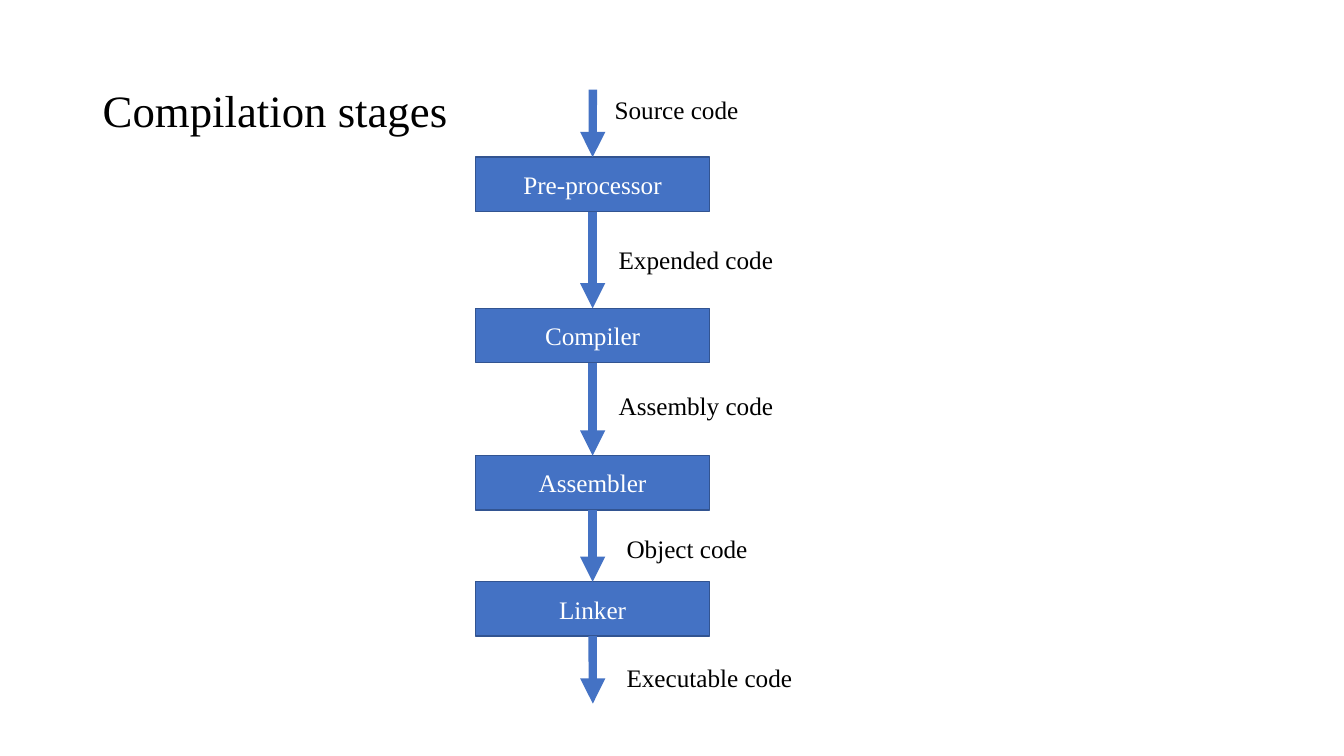
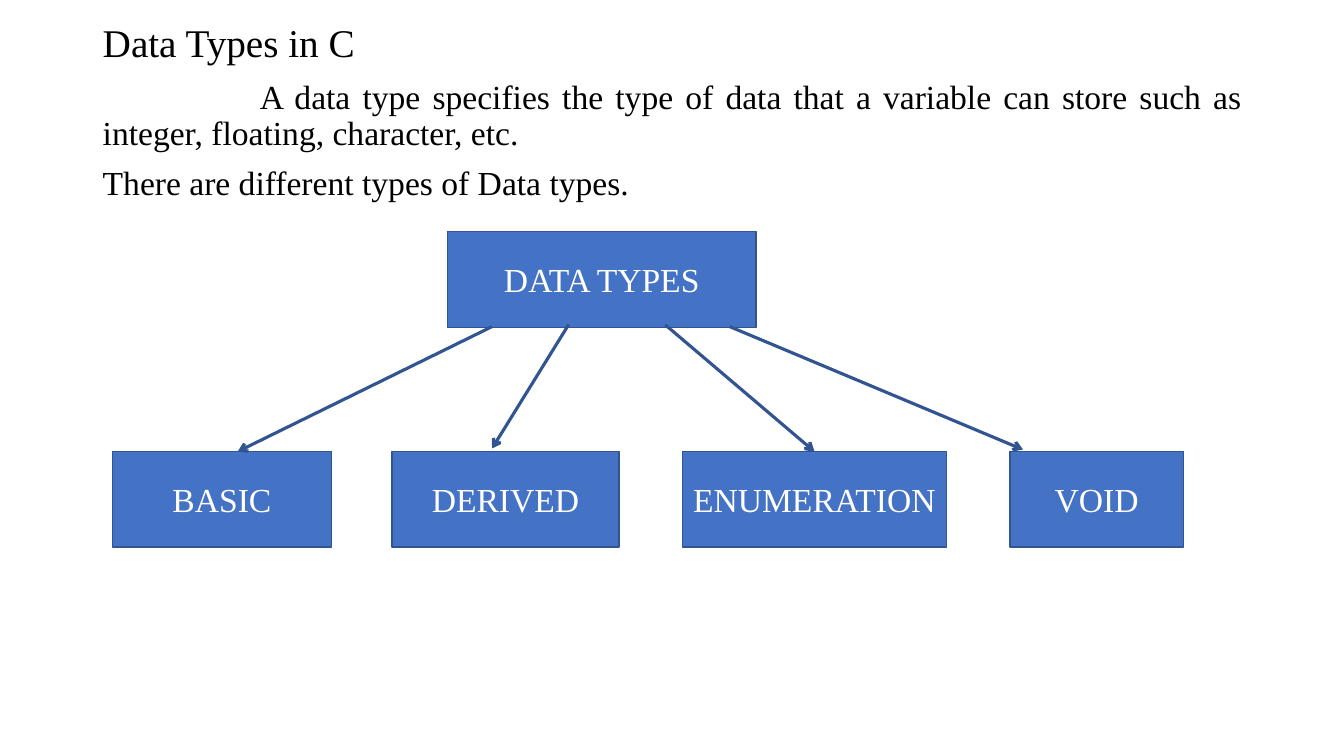
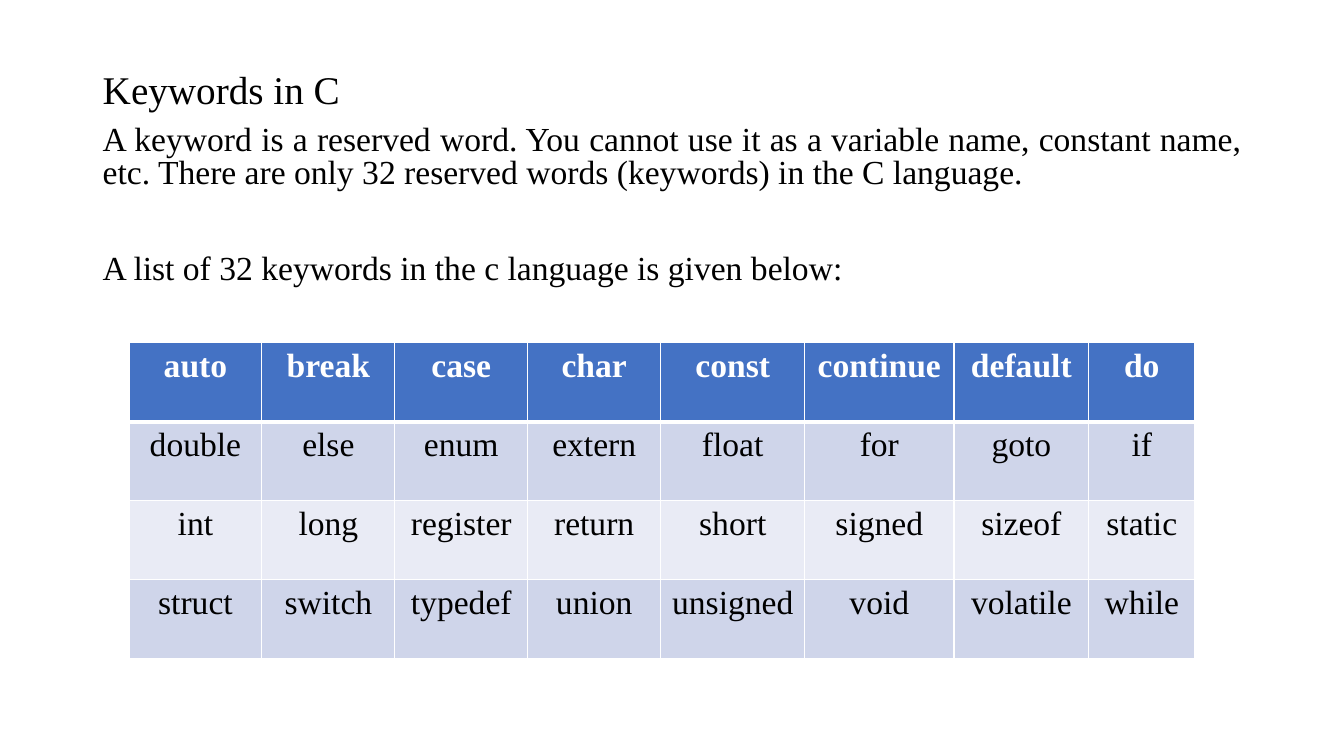
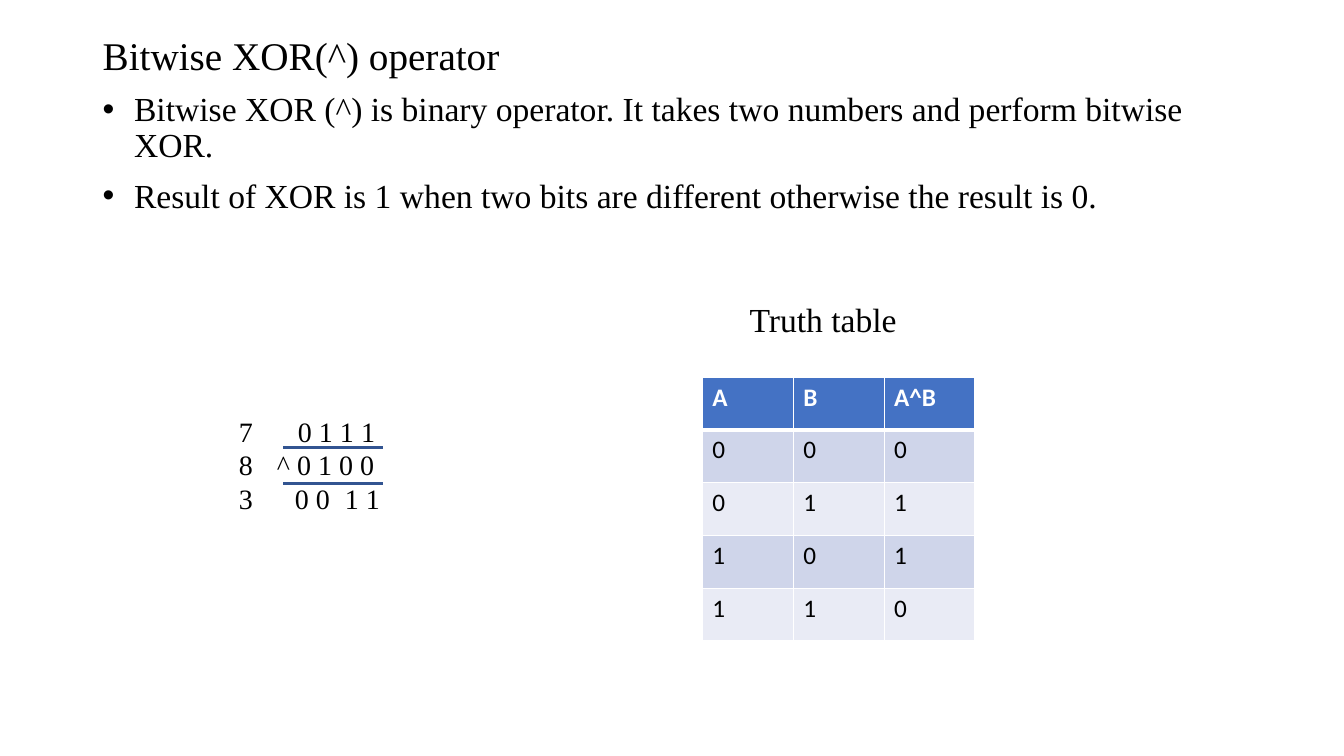
from lxml import etree
from pptx import Presentation
from pptx.dml.color import RGBColor
from pptx.enum.shapes import MSO_CONNECTOR, MSO_SHAPE
from pptx.enum.text import MSO_ANCHOR as ANCHOR, PP_ALIGN as ALIGN
from pptx.oxml.ns import qn
from pptx.util import Cm, Pt

COLORS = {
    "text": "000000", "white": "FFFFFF", "accent": "4472C4",
    "outline": "325491", "band_dark": "CFD5EA", "band_light": "E9EBF5",
}
COLORS = {name: RGBColor.from_string(value) for name, value in COLORS.items()}
SERIF = "Times New Roman"
BODY_LEFT, BODY_WIDTH = 2.34, 29.21


def add_text(slide, box, lines, align=ALIGN.LEFT, filled=False):
    """Add a text box, or a filled rectangle, with one (text, size) per paragraph."""
    lengths = [Cm(value) for value in box]
    if filled:
        shape = slide.shapes.add_shape(MSO_SHAPE.RECTANGLE, *lengths)
        shape.shadow.inherit = False
        shape.fill.solid()
        shape.fill.fore_color.rgb = COLORS["accent"]
        shape.line.color.rgb = COLORS["outline"]
        shape.line.width = Pt(1)
    else:
        shape = slide.shapes.add_textbox(*lengths)
    frame = shape.text_frame
    frame.word_wrap = True
    frame.vertical_anchor = ANCHOR.MIDDLE if filled else ANCHOR.TOP
    frame.text = "\n".join(text for text, size in lines)
    for paragraph, (text, size) in zip(frame.paragraphs, lines):
        paragraph.alignment = align
        for run in paragraph.runs:
            run.font.name = SERIF
            run.font.size = Pt(size)
            run.font.color.rgb = COLORS["white" if filled else "text"]
    return shape


def add_line(slide, start, end, color, width, head=None):
    """Add a straight line, with an arrowhead at its end if one is named."""
    points = [Cm(value) for value in start + end]
    connector = slide.shapes.add_connector(MSO_CONNECTOR.STRAIGHT, *points)
    connector.line.color.rgb = COLORS[color]
    connector.line.width = Pt(width)
    if head:
        outline = connector.element.find(".//" + qn("a:ln"))
        etree.SubElement(outline, qn("a:tailEnd"), type=head)
    etree.SubElement(connector.element.spPr, qn("a:effectLst"))
    return connector


presentation = Presentation()
presentation.slide_width = Cm(33.87)
presentation.slide_height = Cm(19.05)
blank = presentation.slide_layouts[6]
stages_slide, types_slide, keywords_slide, xor_slide = [
    presentation.slides.add_slide(blank) for _ in range(4)]

# Compilation stages: title, boxes and labels
title = add_text(stages_slide, (BODY_LEFT, 1.02, BODY_WIDTH, 3.68),
                 [("Compilation stages", 32)])
title.text_frame.vertical_anchor = ANCHOR.MIDDLE
title.text_frame.paragraphs[0].line_spacing = 0.9

stages = [("Pre-processor", 3.96), ("Compiler", 7.77),
          ("Assembler", 11.48), ("Linker", 14.66)]
stage_boxes = [
    add_text(stages_slide, (11.99, top, 5.89, 1.37), [(name, 18)], ALIGN.CENTER, True)
    for name, top in stages]

for label, left, top, width in [
    ("Source code", 15.24, 2.26, 4.42),
    ("Expended code", 15.34, 6.02, 5.89),
    ("Assembly code", 15.34, 9.7, 4.42),
    ("Object code", 15.54, 13.31, 4.72),
    ("Executable code", 15.54, 16.56, 5.72),
]:
    add_text(stages_slide, (left, top, width, 1.02), [(label, 18)])

# Compilation stages: arrows into, between and out of the boxes
for source, target in zip([None] + stage_boxes, stage_boxes + [None]):
    arrow = add_line(stages_slide, (14.94, 2.26), (14.94, 17.73), "accent", 6, "triangle")
    if source:
        arrow.begin_connect(source, 2)
    if target:
        arrow.end_connect(target, 0)

# Body text of the other slides
bodies = []
for slide, top, height, spacing, align, lines in [
    (types_slide, 0.48, 18.03, 0.9, ALIGN.JUSTIFY, [
        ("Data Types in C", 28),
        ("A data type specifies the type of data that a variable can store such as "
         "integer, floating, character, etc.", 24),
        ("There are different types of Data types.", 24)]),
    (keywords_slide, 1.75, 15.42, 0.8, ALIGN.JUSTIFY, [
        ("Keywords in C", 28),
        ("A keyword is a reserved word. You cannot use it as a variable name, constant "
         "name, etc. There are only 32 reserved words (keywords) in the C language.", 24),
        ("A list of 32 keywords in the c language is given below:", 24)]),
    (xor_slide, 0.79, 16.38, 0.9, ALIGN.LEFT, [
        ("Bitwise XOR(^) operator", 28),
        ("Bitwise XOR (^) is binary operator. It takes two numbers and perform bitwise "
         "XOR.", 24),
        ("Result of XOR is 1 when two bits are different otherwise the result is 0.", 24)]),
]:
    body = add_text(slide, (BODY_LEFT, top, BODY_WIDTH, height), lines, align)
    paragraphs = body.text_frame.paragraphs
    for paragraph in paragraphs:
        paragraph.line_spacing = spacing
    for paragraph in paragraphs[1:]:
        paragraph.space_before = Pt(10)
    bodies.append(paragraphs)

types_text, keywords_text, xor_text = bodies
types_text[1]._p.get_or_add_pPr().set("indent", str(Cm(3.96)))
keywords_text[2].space_before = Pt(46)
for paragraph in xor_text[1:]:
    properties = paragraph._p.get_or_add_pPr()
    properties.set("marL", str(Cm(0.79)))
    properties.set("indent", str(-Cm(0.79)))
    etree.SubElement(properties, qn("a:buFont"), typeface="Arial")
    etree.SubElement(properties, qn("a:buChar"), char="•")

# Data types: tree of boxes
type_boxes = {}
for name, left, top, width in [
    ("DATA TYPES", 11.28, 5.84, 7.77),
    ("BASIC", 2.84, 11.38, 5.51),
    ("DERIVED", 9.88, 11.38, 5.72),
    ("ENUMERATION", 17.2, 11.38, 6.65),
    ("VOID", 25.45, 11.38, 4.37),
]:
    type_boxes[name] = add_text(types_slide, (left, top, width, 2.41), [(name, 24)],
                                ALIGN.CENTER, True)

for start, end in [
    ((12.4, 8.23), (5.99, 11.38)),
    ((18.39, 8.23), (25.78, 11.33)),
    ((14.33, 8.18), (12.4, 11.3)),
    ((16.76, 8.18), (20.52, 11.38)),
]:
    branch = add_line(types_slide, start, end, "outline", 2.25, "arrow")
branch.end_connect(type_boxes["ENUMERATION"], 0)

# Keyword table and truth table
keywords = [
    "auto break case char const continue default do".split(),
    "double else enum extern float for goto if".split(),
    "int long register return short signed sizeof static".split(),
    "struct switch typedef union unsigned void volatile while".split(),
]
truth = [["A", "B", "A^B"]] + [[str(a), str(b), str(a ^ b)] for a in (0, 1) for b in (0, 1)]

for slide, left, top, widths, row_height, rows, font_name, size, align in [
    (keywords_slide, 3.25, 8.64, [3.35] * 4 + [3.63, 3.76, 3.4, 2.67], 1.99,
     keywords, SERIF, 24, ALIGN.CENTER),
    (xor_slide, 17.7, 9.5, [2.29] * 3, 1.33, truth, "Calibri", 18, ALIGN.LEFT),
]:
    table = slide.shapes.add_table(
        len(rows), len(widths), Cm(left), Cm(top),
        Cm(sum(widths)), Cm(row_height * len(rows))).table
    for column, width in zip(table.columns, widths):
        column.width = Cm(width)
    for row_index, words in enumerate(rows):
        table.rows[row_index].height = Cm(row_height)
        header = row_index == 0
        fill = "accent" if header else "band_dark" if row_index % 2 else "band_light"
        for column_index, word in enumerate(words):
            cell = table.cell(row_index, column_index)
            # The rule under the header is thicker than the others
            properties = cell._tc.get_or_add_tcPr()
            for side in ("lnL", "lnR", "lnT", "lnB"):
                thick = (side, row_index) in (("lnB", 0), ("lnT", 1))
                border = etree.SubElement(properties, qn("a:" + side),
                                          w=str(Pt(3 if thick else 1)))
                solid = etree.SubElement(border, qn("a:solidFill"))
                etree.SubElement(solid, qn("a:srgbClr"), val=str(COLORS["white"]))
            cell.fill.solid()
            cell.fill.fore_color.rgb = COLORS[fill]
            cell.text_frame.text = word
            paragraph = cell.text_frame.paragraphs[0]
            paragraph.alignment = align
            font = paragraph.runs[0].font
            font.name = font_name
            font.size = Pt(size)
            font.bold = header
            font.color.rgb = COLORS["white" if header else "text"]

add_text(xor_slide, (18.64, 7.42, 4.95, 1.27), [("Truth table", 24)])

# Worked XOR example, aligned by tab stops
example = [("7\t0 1 1 1", [1.49]), ("8\t^ 0 1 0 0", [0.96]), ("3\t0 0\t1 1", [1.41, 2.67])]
example_box = add_text(xor_slide, (5.77, 10.31, 6.12, 3.7),
                       [(text, 20) for text, stops in example])
for paragraph, (text, stops) in zip(example_box.text_frame.paragraphs, example):
    tab_list = etree.SubElement(paragraph._p.get_or_add_pPr(), qn("a:tabLst"))
    for stop in stops:
        etree.SubElement(tab_list, qn("a:tab"), pos=str(Cm(stop)), algn="l")
for top in (11.28, 12.19):
    add_line(xor_slide, (7.14, top), (9.65, top), "outline", 2.25)

presentation.save("out.pptx")
